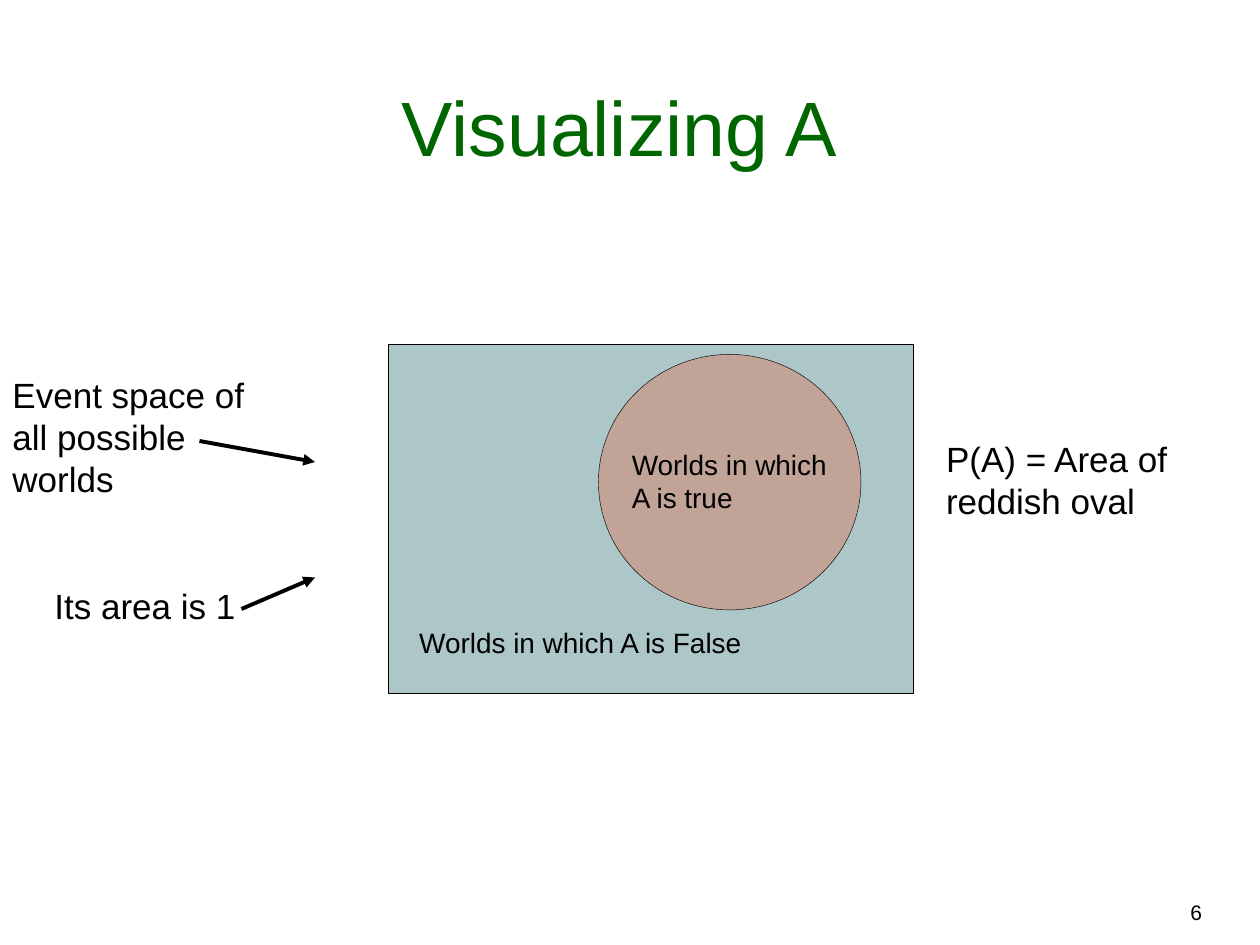
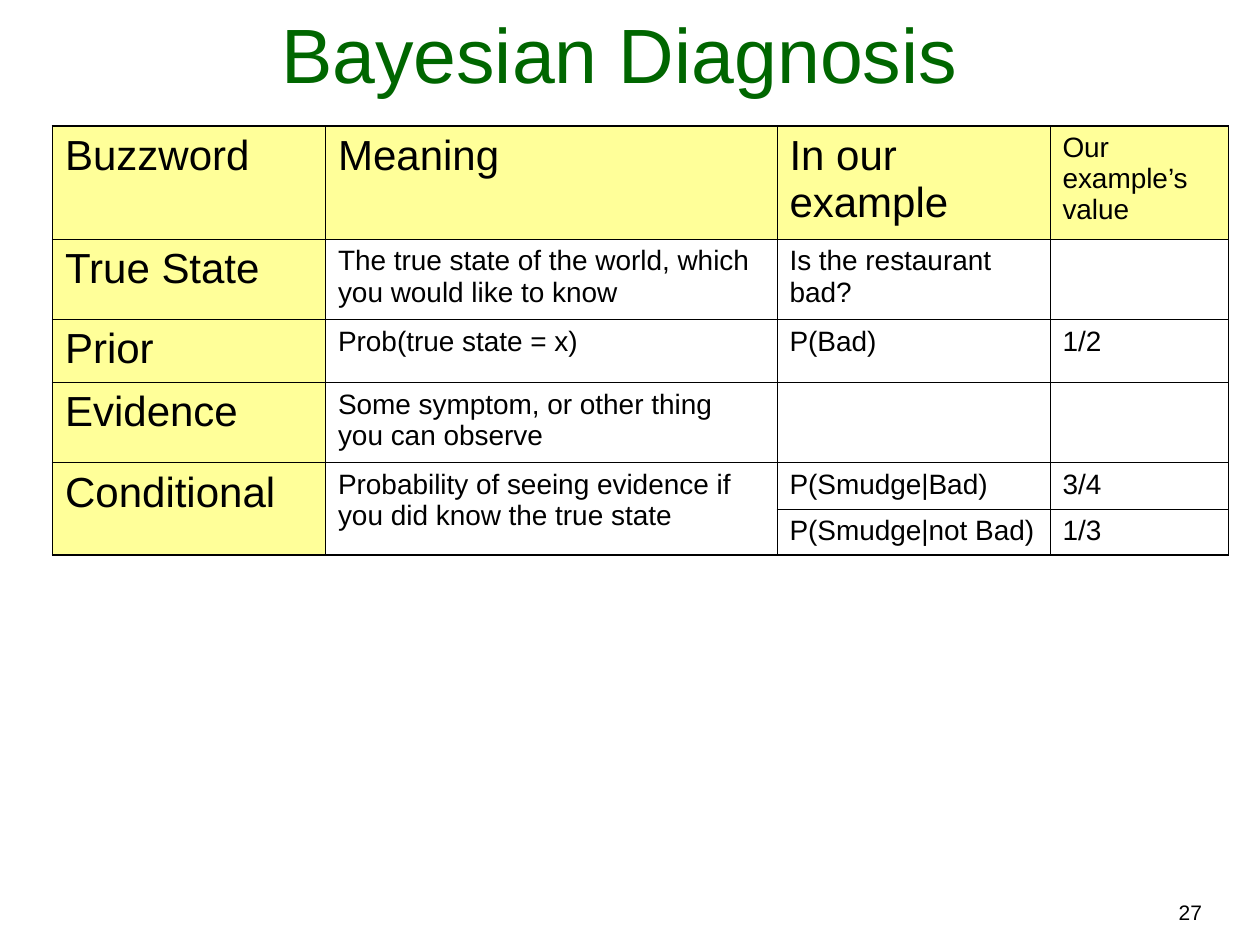
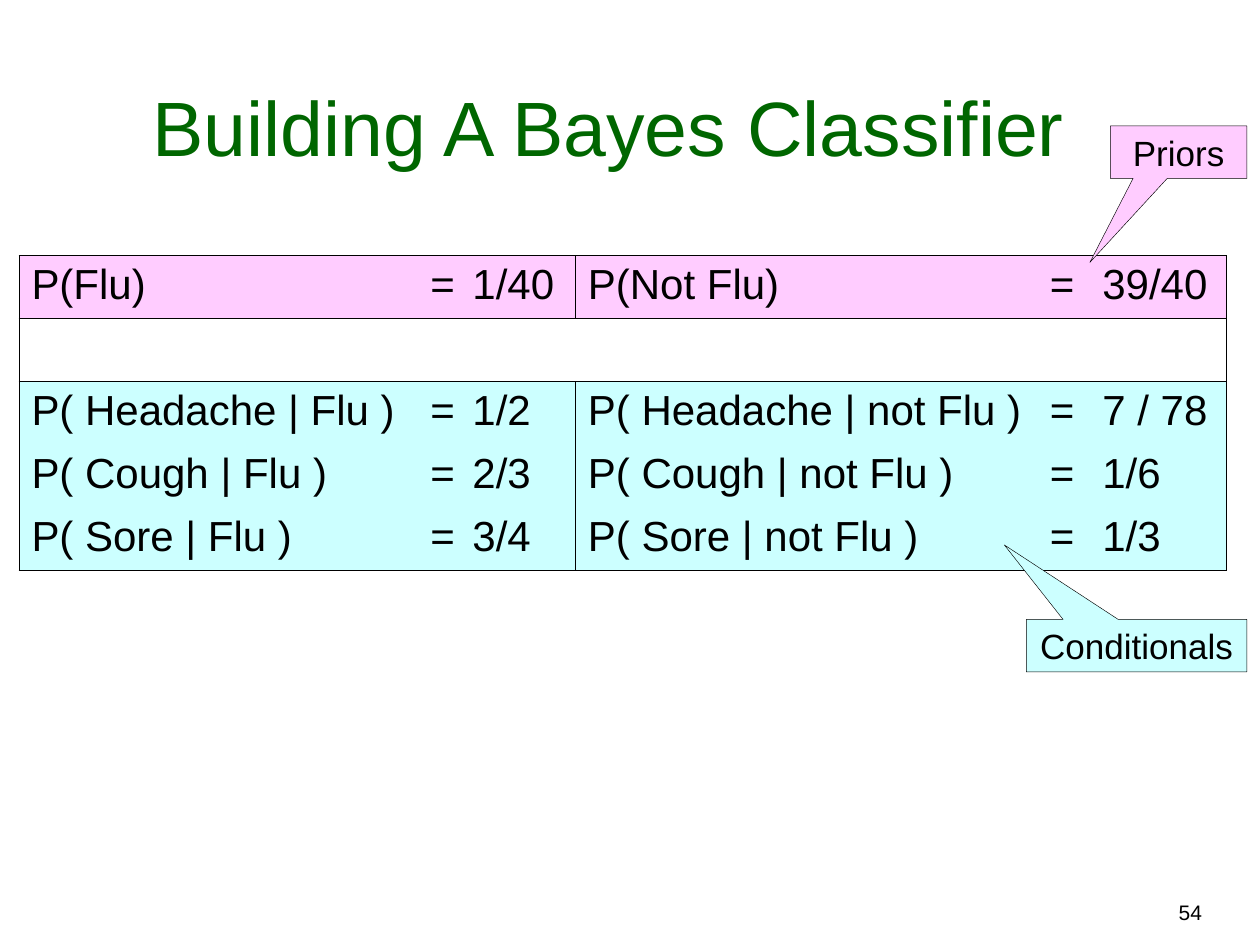
from lxml.etree import SubElement
from pptx import Presentation
from pptx.dml.color import RGBColor
from pptx.enum.shapes import MSO_CONNECTOR, MSO_SHAPE
from pptx.enum.text import MSO_ANCHOR as ANCHOR, MSO_AUTO_SIZE as AUTO, PP_ALIGN as ALIGN
from pptx.oxml import parse_xml
from pptx.oxml.ns import nsdecls, qn
from pptx.util import Pt

rgb = RGBColor.from_string
FONT = "Arial"
BLACK, GREEN, YELLOW = "000000", "006600", "FFFF99"
TEAL, REDDISH, PINK, CYAN = "ADC6C7", "C2A398", "FFCCFF", "CCFFFF"
THIN, THICK = 0.45, 1.08


def write(tf, text, size, color=BLACK, align=ALIGN.LEFT):
    tf.text = text
    for p in tf.paragraphs:
        p.alignment = align
        for r in p.runs:
            r.font.name = FONT
            r.font.size = Pt(size)
            r.font.color.rgb = rgb(color)


def style_cell(cell, fill, borders):
    """Fill a cell (None for clear) and draw its left, right, top, bottom borders; 0 hides one."""
    if fill:
        cell.fill.solid()
        cell.fill.fore_color.rgb = rgb(fill)
    else:
        cell.fill.background()
    tc_pr = cell._tc.get_or_add_tcPr()
    for i, (side, width) in enumerate(zip("LRTB", borders)):
        paint = f'<a:solidFill><a:srgbClr val="{BLACK}"/></a:solidFill>' if width else "<a:noFill/>"
        tc_pr.insert(i, parse_xml(f'<a:ln{side} {nsdecls("a")} w="{Pt(width)}">{paint}</a:ln{side}>'))


prs = Presentation()
prs.slide_width, prs.slide_height = Pt(720), Pt(540)

# Shared frame: title and page number
layout = prs.slide_layouts[5]
title_base = layout.placeholders[0]
title_base.left, title_base.top, title_base.width, title_base.height = Pt(18), Pt(18), Pt(672), Pt(84)
slides = []
for title, number in [("Visualizing A", 6), ("Bayesian Diagnosis", 27), ("Building A Bayes Classifier ", 54)]:
    s = prs.slides.add_slide(layout)
    tf = s.shapes.title.text_frame
    tf.auto_size = AUTO.NONE
    tf.vertical_anchor = ANCHOR.BOTTOM
    write(tf, title, 44, GREEN, ALIGN.CENTER)
    page = s.shapes.add_textbox(Pt(412), Pt(510.5), Pt(282), Pt(21.6))
    page.text_frame.word_wrap = True
    write(page.text_frame, str(number), 12, align=ALIGN.RIGHT)
    slides.append(s)
venn, diagnosis, classifier = slides
filled = []

# Visualizing A
for kind, x, y, w, h, fill in [
    (MSO_SHAPE.RECTANGLE, 222, 196.8, 300, 199.2, TEAL),
    (MSO_SHAPE.OVAL, 342, 202.5, 150, 146, REDDISH),
]:
    filled.append((venn.shapes.add_shape(kind, Pt(x), Pt(y), Pt(w), Pt(h)), fill))

for text, x, y, w, h, size, wrap in [
    ("Event space of all possible worlds", 0, 210, 168, 79.2, 20, True),
    ("Its area is 1", 24, 330.4, 118, 31.7, 20, False),
    ("Worlds in which A is False", 232.5, 354, 200, 26.6, 16, False),
    ("Worlds in which A is true", 354, 252, 133, 46, 16, True),
    ("P(A) = Area of\nreddish oval", 533.5, 246.4, 142, 55.4, 20, False),
]:
    label = venn.shapes.add_textbox(Pt(x), Pt(y), Pt(w), Pt(h))
    label.text_frame.word_wrap = wrap
    write(label.text_frame, text, size)

for x1, y1, x2, y2 in [(114, 252, 180, 264), (138, 348, 180, 330)]:
    arrow = venn.shapes.add_connector(MSO_CONNECTOR.STRAIGHT, Pt(x1), Pt(y1), Pt(x2), Pt(y2))
    arrow.line.color.rgb = rgb(BLACK)
    arrow.line.width = Pt(2.25)
    sp_pr = arrow._element.spPr
    SubElement(sp_pr.find(qn("a:ln")), qn("a:tailEnd"), type="triangle")
    SubElement(sp_pr, qn("a:effectLst"))

# Bayesian Diagnosis
title = diagnosis.shapes.title
title.left, title.top, title.width, title.height = Pt(18), Pt(6), Pt(672), Pt(54)
diagnosis_rows = [
    ("Buzzword", "Meaning", "In our example", "Our example’s value"),
    ("True State", "The true state of the world, which you would like to know", "Is the restaurant bad?", ""),
    ("Prior", "Prob(true state = x)", "P(Bad)", "1/2"),
    ("Evidence", "Some symptom, or other thing you can observe", "", ""),
    ("Conditional", "Probability of seeing evidence if you did know the true state", "P(Smudge|Bad)", "3/4"),
    ("", "", "P(Smudge|not Bad)", "1/3"),
]
diagnosis_table = diagnosis.shapes.add_table(6, 4, Pt(30), Pt(72), Pt(672), Pt(244.9)).table
for col in (0, 1):
    diagnosis_table.cell(4, col).merge(diagnosis_table.cell(5, col))

# Building A Bayes Classifier
classifier_rows = [
    ("P(Flu)", "=", "1/40", "P(Not Flu)", "=", "39/40"),
    ("",) * 6,
    ("P( Headache | Flu )", "=", "1/2", "P( Headache | not Flu )", "=", "7 / 78"),
    ("P( Cough | Flu )", "=", "2/3", "P( Cough | not Flu )", "=", "1/6"),
    ("P( Sore | Flu )", "=", "3/4", "P( Sore | not Flu )", "=", "1/3"),
]
classifier_table = classifier.shapes.add_table(5, 6, Pt(10.8), Pt(146), Pt(690), Pt(180)).table

for table, widths, heights in [
    (diagnosis_table, (156, 258, 156, 102), (64.5, 45.8, 36, 45.8, 26.4, 26.4)),
    (classifier_table, (228, 24, 66, 264, 30, 78), (36,) * 5),
]:
    table.first_row = table.horz_banding = False
    for column, width in zip(table.columns, widths):
        column.width = Pt(width)
    for row, height in zip(table.rows, heights):
        row.height = Pt(height)

for i, row in enumerate(diagnosis_rows):
    for j, text in enumerate(row):
        cell = diagnosis_table.cell(i, j)
        heading = i == 0 or j == 0
        if not cell.is_spanned:
            write(cell.text_frame, text, 24 if heading and j < 3 else 16)
        outer = (j == 0, j == 3, i == 0, i + cell.span_height == 6)
        style_cell(cell, YELLOW if heading else None, [THICK if edge else THIN for edge in outer])

for i, row in enumerate(classifier_rows):
    for j, text in enumerate(row):
        cell = classifier_table.cell(i, j)
        write(cell.text_frame, text, 24)
        gap = i == 1
        ruled = (j == 0 or j == 3 and not gap, j == 5 or j == 2 and not gap, i < 3, i in (0, 1, 4))
        style_cell(cell, (PINK, None, CYAN)[min(i, 2)], [THIN if edge else 0 for edge in ruled])

for text, x, y, w, tip, fill in [
    ("Priors", 634.5, 72, 78, (-0.65, 2.1), PINK),
    ("Conditionals", 586.5, 354, 126, (-0.6, -1.92), CYAN),
]:
    callout = classifier.shapes.add_shape(MSO_SHAPE.RECTANGULAR_CALLOUT, Pt(x), Pt(y), Pt(w), Pt(30))
    callout.adjustments[0], callout.adjustments[1] = tip
    callout.text_frame.vertical_anchor = ANCHOR.MIDDLE
    write(callout.text_frame, text, 20, align=ALIGN.CENTER)
    filled.append((callout, fill))

for sp, fill in filled:
    sp.shadow.inherit = False
    sp.fill.solid()
    sp.fill.fore_color.rgb = rgb(fill)
    sp.line.color.rgb = rgb(BLACK)
    sp.line.width = Pt(0.25)

prs.save("out.pptx")
